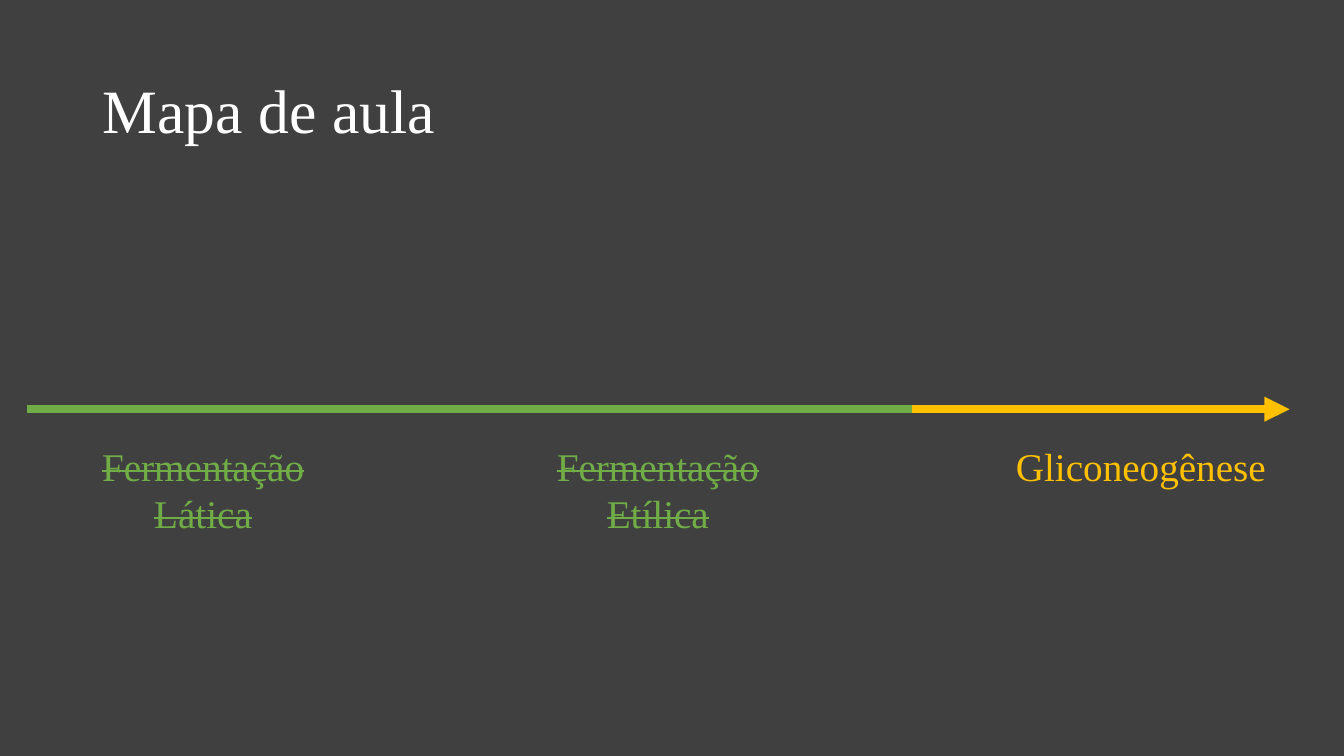
from dataclasses import dataclass

from lxml.etree import SubElement
from pptx import Presentation
from pptx.dml.color import RGBColor
from pptx.enum.shapes import MSO_CONNECTOR
from pptx.enum.text import MSO_ANCHOR, MSO_AUTO_SIZE, PP_ALIGN
from pptx.oxml.ns import qn
from pptx.util import Inches, Pt


@dataclass(frozen=True)
class Theme:
    background: RGBColor = RGBColor(0x40, 0x40, 0x40)
    title: RGBColor = RGBColor(0xFF, 0xFF, 0xFF)
    done: RGBColor = RGBColor(0x70, 0xAD, 0x47)
    current: RGBColor = RGBColor(0xFF, 0xC0, 0x00)
    font: str = "Times New Roman"
    title_size: Pt = Pt(44)
    topic_size: Pt = Pt(28)
    line_width: Pt = Pt(6)


THEME = Theme()
TIMELINE_LEFT = 0.27
TIMELINE_TOP = 4.06
TOPIC_TOP = 4.34


def write_text(text_frame, text, *, size, color, align=PP_ALIGN.LEFT,
               line_spacing=None, strike=False):
    for index, line in enumerate(text.split("\n")):
        paragraph = text_frame.paragraphs[0] if index == 0 else text_frame.add_paragraph()
        paragraph.alignment = align
        if line_spacing:
            paragraph.line_spacing = line_spacing
        run = paragraph.add_run()
        run.text = line
        run.font.name = THEME.font
        run.font.size = size
        run.font.color.rgb = color
        if strike:
            run.font._element.set("strike", "sngStrike")


def add_title(slide, text):
    title = slide.shapes.title
    title.left, title.top = Inches(0.92), Inches(0.4)
    title.width, title.height = Inches(11.5), Inches(1.45)
    text_frame = title.text_frame
    text_frame.word_wrap = True
    text_frame.auto_size = MSO_AUTO_SIZE.NONE
    text_frame.vertical_anchor = MSO_ANCHOR.MIDDLE
    write_text(text_frame, text, size=THEME.title_size, color=THEME.title,
               line_spacing=0.9)


def add_timeline(slide, right, color, arrow=False):
    connector = slide.shapes.add_connector(
        MSO_CONNECTOR.STRAIGHT, Inches(TIMELINE_LEFT), Inches(TIMELINE_TOP),
        Inches(right), Inches(TIMELINE_TOP))
    connector.line.color.rgb = color
    connector.line.width = THEME.line_width
    properties = connector._element.spPr
    if arrow:
        SubElement(properties.find(qn("a:ln")), qn("a:tailEnd"), type="triangle")
    SubElement(properties, qn("a:effectLst"))


def add_topic(slide, text, left, width, height, color, strike=False):
    shape = slide.shapes.add_textbox(
        Inches(left), Inches(TOPIC_TOP), Inches(width), Inches(height))
    text_frame = shape.text_frame
    text_frame.word_wrap = True
    text_frame.auto_size = MSO_AUTO_SIZE.SHAPE_TO_FIT_TEXT
    write_text(text_frame, text, size=THEME.topic_size, color=color,
               align=PP_ALIGN.CENTER, strike=strike)


def main():
    presentation = Presentation()
    presentation.slide_width = Inches(13.33)
    presentation.slide_height = Inches(7.5)
    slide = presentation.slides.add_slide(presentation.slide_layouts[5])
    slide.background.fill.solid()
    slide.background.fill.fore_color.rgb = THEME.background

    add_title(slide, "Mapa de aula")
    add_timeline(slide, 12.79, THEME.current, arrow=True)
    add_timeline(slide, 9.05, THEME.done)
    add_topic(slide, "Fermentação Lática", 0.78, 2.47, 1.04, THEME.done, strike=True)
    add_topic(slide, "Fermentação\nEtílica", 5.29, 2.47, 1.04, THEME.done, strike=True)
    add_topic(slide, "Gliconeogênese", 9.94, 2.75, 0.57, THEME.current)

    presentation.save("out.pptx")


if __name__ == "__main__":
    main()
